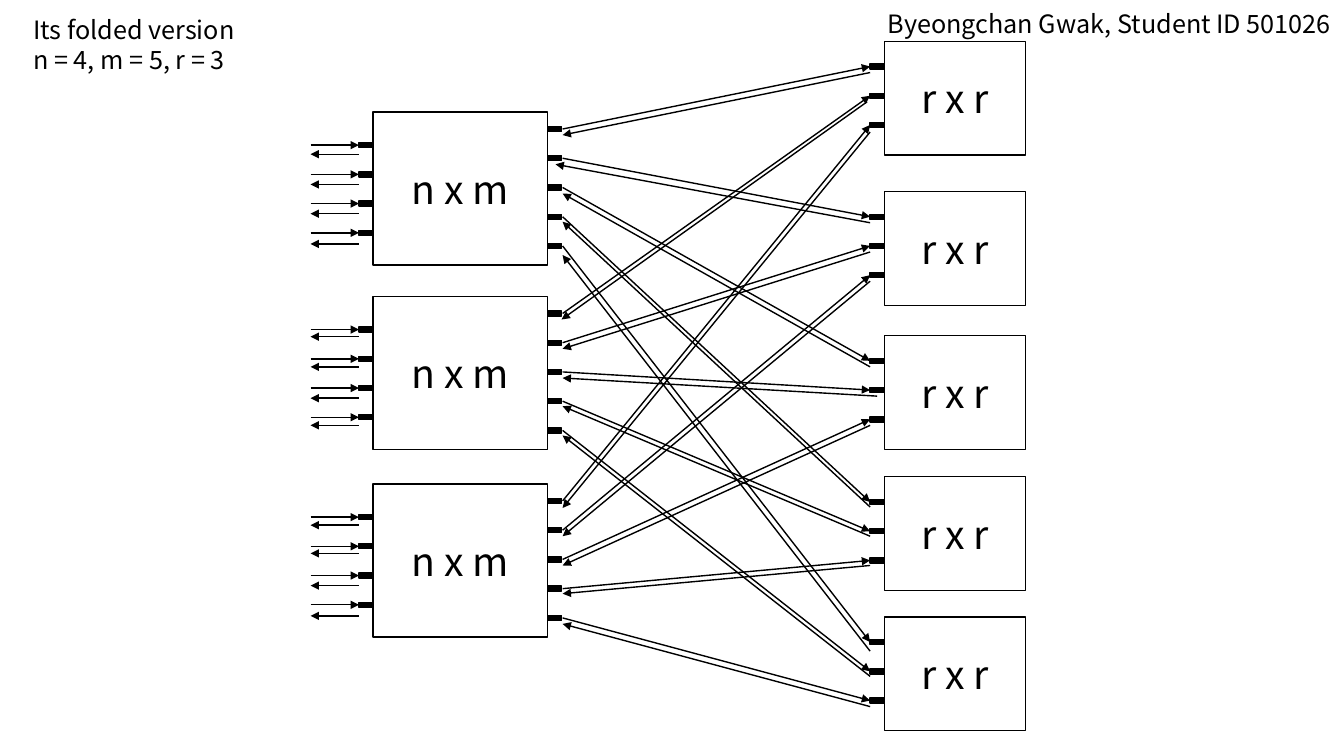
from pptx import Presentation
from pptx import util as u
from pptx.dml import color
from pptx.enum import shapes, text
from pptx.oxml import ns
from lxml import etree

FONT = "Noto Sans CJK KR"
BLACK, WHITE = "000000", "FFFFFF"
PORT_W, PORT_H, PITCH = 0.14, 0.05, 0.29

deck = Presentation()
deck.slide_width, deck.slide_height = u.Inches(13.33), u.Inches(7.5)
page = deck.slides.add_slide(deck.slide_layouts[5])


def write(box, lines, size, align, anchor):
    frame = box.text_frame
    frame.text = "\n".join(lines)
    layout = {"word_wrap": True, "vertical_anchor": anchor,
              "auto_size": text.MSO_AUTO_SIZE.NONE}
    for name, value in layout.items():
        setattr(frame, name, value)
    for para in frame.paragraphs:
        para.alignment = align
        for span in para.runs:
            for name, value in {"size": u.Pt(size), "name": FONT}.items():
                setattr(span.font, name, value)
            span.font.color.rgb = color.RGBColor.from_string(BLACK)


def draw(kind, ends, fill=BLACK):
    """Add an arrow from start to end, or a rectangle at left, top, width, height."""
    lengths = [u.Inches(value) for value in ends]
    if kind == "arrow":
        item = page.shapes.add_connector(shapes.MSO_CONNECTOR.STRAIGHT, *lengths)
        etree.SubElement(item.line._get_or_add_ln(), ns.qn("a:tailEnd"), type="triangle")
    else:
        item = page.shapes.add_shape(shapes.MSO_SHAPE.RECTANGLE, *lengths)
        item.shadow.inherit = False
        item.fill.solid()
        item.fill.fore_color.rgb = color.RGBColor.from_string(fill)
    item.line.color.rgb = color.RGBColor.from_string(BLACK)
    item.line.width = u.Pt(1)
    if kind == "arrow":
        etree.SubElement(item._element.spPr, ns.qn("a:effectLst"))
    return item


# Switches: label, left, width, height, tops, and ports as (left, first centre, count)
outer_tops = [1.11, 2.94, 4.8]
middle_tops = [0.41, 1.9, 3.33, 4.73, 6.12]
stages = [
    ("r x r", 8.77, 1.4, 1.13, middle_tops, [(8.63, 0.25, 3)]),
    ("n x m", 3.7, 1.73, 1.52, outer_tops, [(5.43, 0.17, 5), (3.56, 0.33, 4)]),
]
for label, left, width, height, tops, port_columns in stages:
    for top in tops:
        switch = draw("box", (left, top, width, height), WHITE)
        write(switch, [label], 28, text.PP_ALIGN.CENTER, text.MSO_ANCHOR.MIDDLE)
        for port_left, first, count in port_columns:
            for port in range(count):
                centre = top + first + PITCH * port
                draw("box", (port_left, centre - PORT_H / 2, PORT_W, PORT_H))

# Links between the stages: each forward arrow has a return arrow just below it
return_gaps = [
    [0.06, 0.06, 0.06, 0.05, 0.09],
    [0.06, 0.06, 0.06, 0.05, 0.05],
    [0.07, 0.06, 0.06, 0.05, 0.06],
]
return_ends = {(0, 1): (8.63, 5.51), (1, 0): (8.6, 5.57), (1, 2): (8.7, 5.58)}
for row, outer_top in enumerate(outer_tops):
    for column, middle_top in enumerate(middle_tops):
        outer_y = outer_top + 0.17 + PITCH * column
        middle_y = middle_top + 0.25 + PITCH * row
        gap = return_gaps[row][column]
        start, end = return_ends.get((row, column), (8.63, 5.58))
        draw("arrow", (5.58, outer_y, 8.63, middle_y))
        draw("arrow", (start, middle_y + gap, end, outer_y + gap))

# External inputs and outputs
output_gaps = [
    [0.09, 0.1, 0.1, 0.11],
    [0.07, 0.08, 0.1, 0.08],
    [0.08, 0.07, 0.1, 0.11],
]
for top, gaps in zip(outer_tops, output_gaps):
    for port, gap in enumerate(gaps):
        y = top + 0.33 + PITCH * port
        draw("arrow", (3.08, y, 3.56, y))
        draw("arrow", (3.56, y + gap, 3.08, y + gap))

# Title and author
title = page.shapes.title
author = page.shapes.add_textbox(0, 0, 0, 0)
captions = [
    (title, (0.23, 0.09, 2.43, 0.71), ["Its folded version", "n = 4, m = 5, r = 3"],
     text.PP_ALIGN.LEFT),
    (author, (8.53, 0.03, 4.77, 0.4), ["Byeongchan Gwak, Student ID 501026"],
     text.PP_ALIGN.RIGHT),
]
for box, place, lines, align in captions:
    for name, value in zip(("left", "top", "width", "height"), place):
        setattr(box, name, u.Inches(value))
    write(box, lines, 18, align, text.MSO_ANCHOR.TOP)

deck.save("out.pptx")
